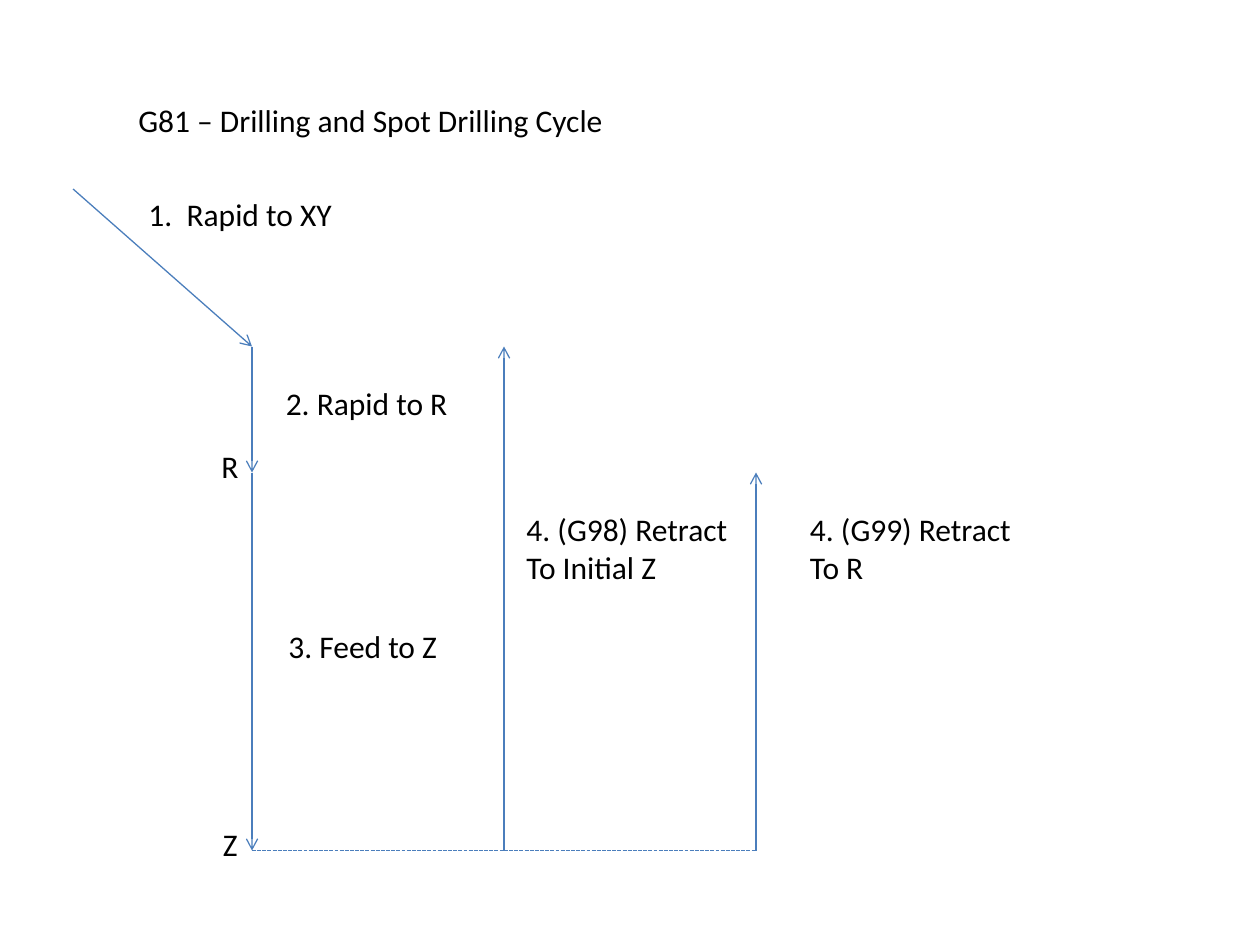
from lxml import etree
from pptx import Presentation
from pptx.dml.color import RGBColor
from pptx.enum.dml import MSO_LINE
from pptx.enum.shapes import MSO_CONNECTOR
from pptx.enum.text import MSO_AUTO_SIZE
from pptx.oxml.ns import qn
from pptx.util import Inches, Pt

STRAIGHT = MSO_CONNECTOR.STRAIGHT
DASH = MSO_LINE.SQUARE_DOT
FIT = MSO_AUTO_SIZE.SHAPE_TO_FIT_TEXT
COLORS = {"line": "4B7EBC", "text": "000000"}

DRILL_X, INITIAL_X, RETRACT_X = 2, 4, 6
INITIAL_Y, R_Y, Z_Y = 2.75, 3.75, 6.75
ROW = 0.4

deck = Presentation()
deck.slide_width = Inches(10)
deck.slide_height = Inches(7.5)
page = deck.slides.add_slide(deck.slide_layouts[6])


def add_move(start, end, dashed=False):
    move = page.shapes.add_connector(STRAIGHT, *[Inches(v) for v in start + end])
    move.line.color.rgb = RGBColor.from_string(COLORS["line"])
    move.line.width = Pt(0.75)
    if dashed:
        move.line.dash_style = DASH
    else:
        etree.SubElement(move.line._get_or_add_ln(), qn("a:tailEnd"), type="arrow")
    etree.SubElement(move._element.spPr, qn("a:effectLst"))


def add_label(left, top, width, *lines):
    height = ROW + 0.31 * (len(lines) - 1)
    box = page.shapes.add_textbox(*[Inches(v) for v in (left, top, width, height)])
    frame = box.text_frame
    frame.word_wrap = False
    frame.auto_size = FIT
    for index, line in enumerate(lines):
        para = frame.add_paragraph() if index else frame.paragraphs[0]
        span = para.add_run()
        span.text = line
        span.font.name = "Calibri"
        span.font.size = Pt(18)
        span.font.color.rgb = RGBColor.from_string(COLORS["text"])


add_move((0.58, 1.5), (DRILL_X, INITIAL_Y))
add_move((DRILL_X, INITIAL_Y), (DRILL_X, R_Y))
add_move((DRILL_X, R_Y), (DRILL_X, Z_Y))
add_move((INITIAL_X, Z_Y), (INITIAL_X, INITIAL_Y))
add_move((RETRACT_X, Z_Y), (RETRACT_X, R_Y))
for left, right in ((DRILL_X, INITIAL_X), (INITIAL_X, RETRACT_X)):
    add_move((left, Z_Y), (right, Z_Y), dashed=True)

add_label(1, 0.75, 3.94, "G81 – Drilling and Spot Drilling Cycle")
add_label(1.08, 1.5, 1.68, "1.  Rapid to XY")
add_label(2.17, 3, 1.5, "2. Rapid to R")
add_label(2.19, 4.93, 1.4, "3. Feed to Z")
add_label(1.66, R_Y - 0.25, 0.34, "R")
add_label(1.67, Z_Y - 0.25, 0.32, "Z")
add_label(4.08, 4, 1.81, "4. (G98) Retract", "To Initial Z")
add_label(6.33, 4, 1.81, "4. (G99) Retract", "To R")

deck.save("out.pptx")
